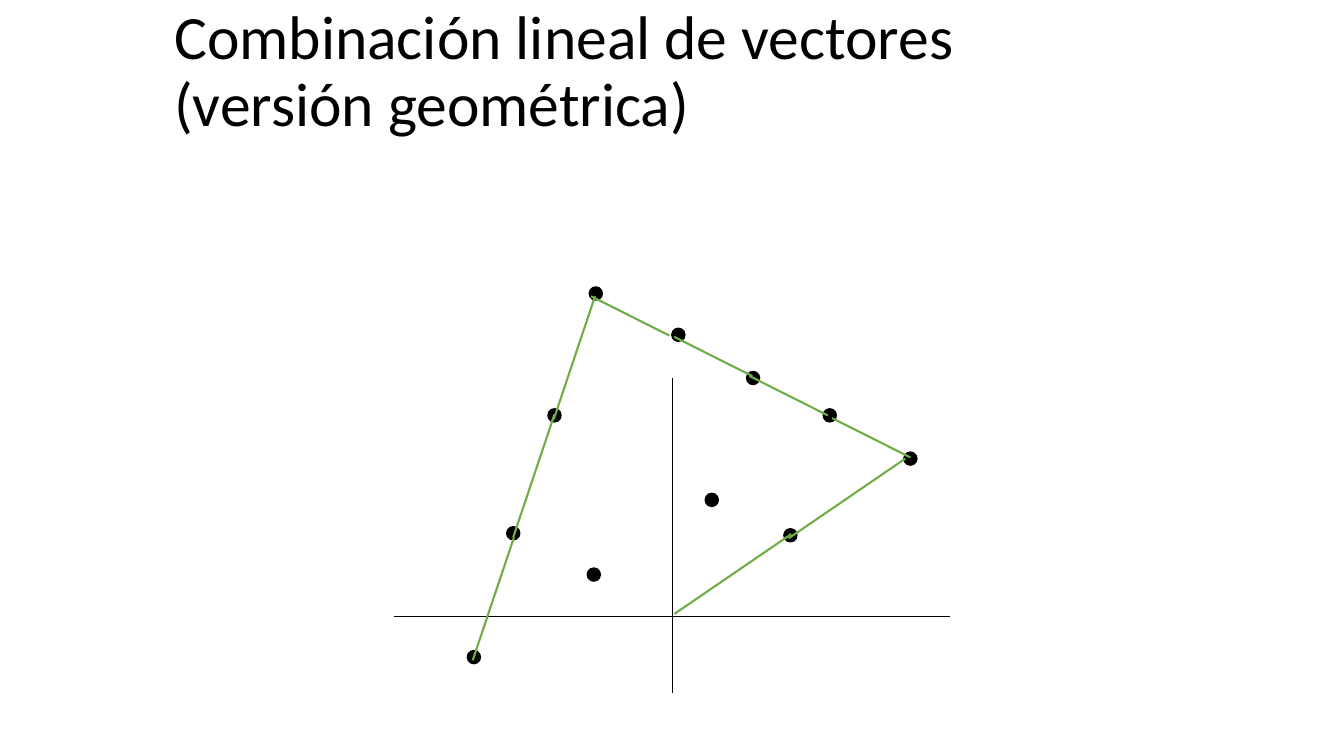
from dataclasses import dataclass

from lxml import etree
from pptx import Presentation
from pptx import util as u
from pptx.dml.color import RGBColor
from pptx.enum import shapes, text
from pptx.oxml.ns import qn


@dataclass(frozen=True)
class Theme:
    font: str = "Calibri"
    title_size: float = 44
    ink: str = "000000"
    green: str = "70AD47"
    axis_width: float = 0.5
    dot_width: float = 1
    vector_width: float = 1.5


THEME = Theme()
WIDTH, HEIGHT = 13.33, 7.5
ORIGIN = (6.67, 6.11)
UNIT = 0.39
DOT = 0.13

TITLE = ["Combinación lineal de vectores", "(versión geométrica)"]

# Lattice points, in grid units from the origin with y upwards
POINTS = [
    (3, 2.05), (-2, 1.05), (6.05, 4), (4, 5.1), (2.05, 6.05), (0.15, 7.15),
    (1, 2.95), (-1.95, 8.2), (-3, 5.1), (-4.05, 2.1), (-5.05, -1.05),
]
AXES = [((0, 6.05), (0, -1.97)), ((7.05, 0), (-7.08, 0))]

# Each vector with the points where it is laid down, tail to head
STEPS = [
    ((2.97, 2.03), [(0.05, 0.05), (2.95, 1.97)]),
    ((-1.99, 1), [(6.05, 4.03), (3.95, 5.1), (2.03, 6.1), (-0.08, 7.13)]),
    ((-1.05, -3.13), [(-1.97, 8.13), (-3, 5.13), (-4.03, 2)]),
]


def place(point):
    """Turn grid coordinates into inches on the slide."""
    return ORIGIN[0] + point[0] * UNIT, ORIGIN[1] - point[1] * UNIT


def add_title(s, lines):
    sp = s.shapes.add_textbox(
        u.Inches(1.63), 0, u.Inches(11.5), u.Inches(1.45))
    tf = sp.text_frame
    tf.word_wrap = True
    tf.vertical_anchor = text.MSO_ANCHOR.MIDDLE
    p = tf.paragraphs[0]
    p.line_spacing = 0.9
    for i, line in enumerate(lines):
        if i:
            p.add_line_break()
        r = p.add_run()
        r.text = line
        r.font.name = THEME.font
        r.font.size = u.Pt(THEME.title_size)
        r.font.color.rgb = RGBColor.from_string(THEME.ink)


def add_line(s, start, end, color, width):
    ends = [u.Inches(v) for v in place(start) + place(end)]
    cn = s.shapes.add_connector(shapes.MSO_CONNECTOR.STRAIGHT, *ends)
    cn.line.color.rgb = RGBColor.from_string(color)
    cn.line.width = u.Pt(width)
    etree.SubElement(cn._element.spPr, qn("a:effectLst"))


def add_dot(s, point):
    x, y = place(point)
    sp = s.shapes.add_shape(
        shapes.MSO_SHAPE.OVAL, u.Inches(x - DOT / 2), u.Inches(y - DOT / 2),
        u.Inches(DOT), u.Inches(DOT))
    sp.shadow.inherit = False
    ink = RGBColor.from_string(THEME.ink)
    sp.fill.solid()
    sp.fill.fore_color.rgb = ink
    sp.line.color.rgb = ink
    sp.line.width = u.Pt(THEME.dot_width)


def main():
    prs = Presentation()
    prs.slide_width, prs.slide_height = u.Inches(WIDTH), u.Inches(HEIGHT)
    s = prs.slides.add_slide(prs.slide_layouts[6])
    add_title(s, TITLE)
    for start, end in AXES:
        add_line(s, start, end, THEME.ink, THEME.axis_width)
    for point in POINTS:
        add_dot(s, point)
    for (dx, dy), tails in STEPS:
        for x, y in tails:
            add_line(s, (x, y), (x + dx, y + dy),
                     THEME.green, THEME.vector_width)
    prs.save("out.pptx")


if __name__ == "__main__":
    main()
